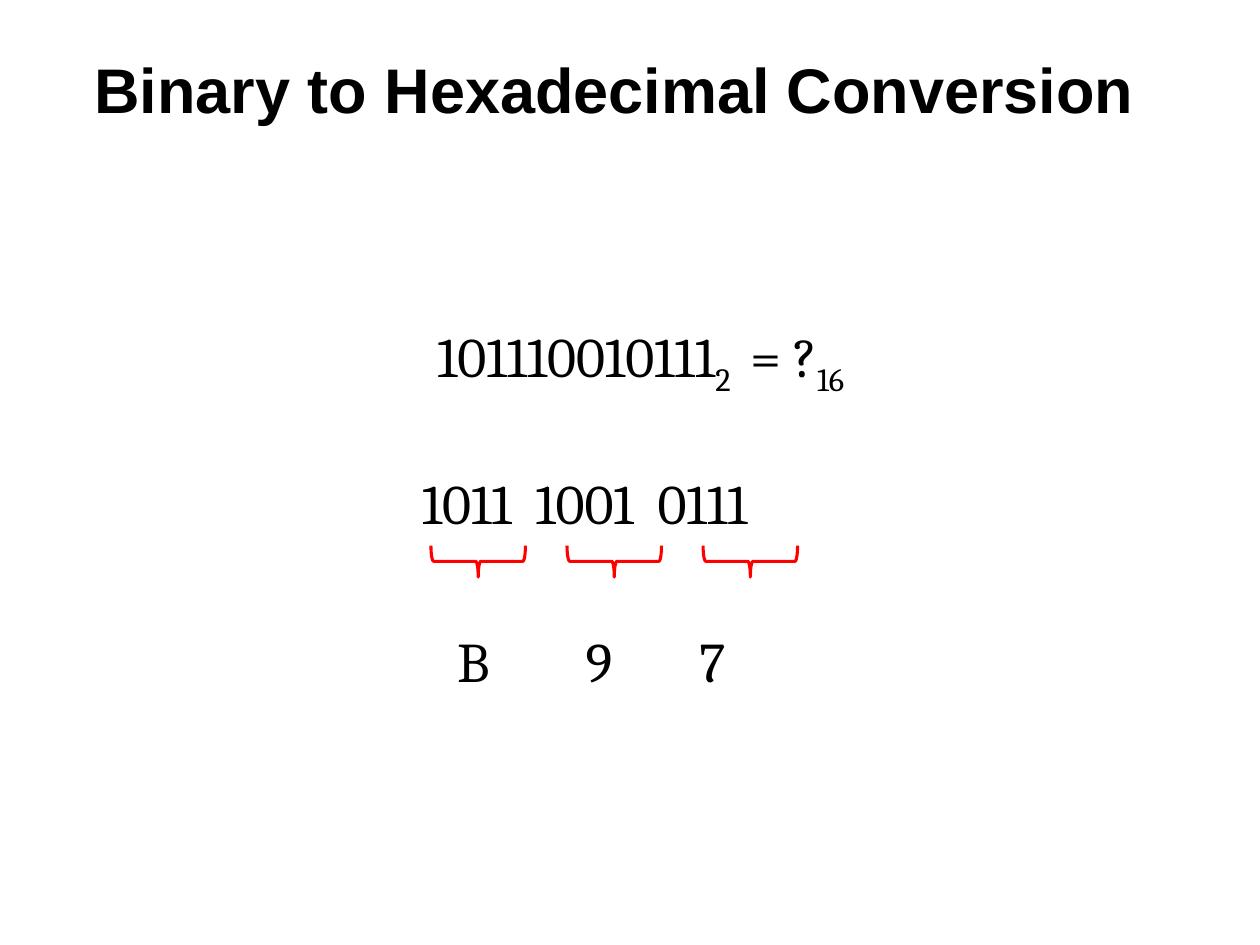
from lxml import etree
from pptx import Presentation
from pptx.dml.color import RGBColor
from pptx.enum.shapes import MSO_SHAPE
from pptx.enum.text import MSO_ANCHOR, PP_ALIGN
from pptx.oxml.ns import qn
from pptx.util import Inches, Pt

BRACE = MSO_SHAPE.RIGHT_BRACE
MIDDLE = MSO_ANCHOR.MIDDLE
CENTER, LEFT = PP_ALIGN.CENTER, PP_ALIGN.LEFT
BLACK, RED = "000000", "FF0000"

TITLE = "Binary to Hexadecimal Conversion"
QUESTION = [("101110010111", 0), ("2 ", -25), (" = ?", 0), ("16", -25)]
GROUPS = ["1011", "1001", "0111"]
DIGITS = ["B", "9", "7"]
ROWS = [
    ((3.37, 2.5, 4.18, 0.64), QUESTION, []),
    ((3.25, 3.67, 3.29, 0.64), [("\t".join(GROUPS), 0)], [0.9, 1.87]),
    ((3.53, 4.92, 3.06, 0.64), [("\t".join(DIGITS), 0)], [1.02, 1.92]),
]
BRACE_LEFT, BRACE_TOP, BRACE_STEP = 3.67, 4.08, 1.08
BRACE_WIDTH, BRACE_HEIGHT = 0.25, 0.75


def color(value):
    return RGBColor.from_string(value)


def style(span, font, size, bold=False):
    span.font.name = font
    span.font.size = Pt(size)
    span.font.bold = bold
    span.font.color.rgb = color(BLACK)


def add_title(page):
    title = page.shapes.title
    title.left, title.top = Inches(0), Inches(0.33)
    title.width, title.height = Inches(9.75), Inches(0.75)
    title.text_frame.text = TITLE
    title.text_frame.vertical_anchor = MIDDLE
    para = title.text_frame.paragraphs[0]
    para.alignment = CENTER
    style(para.runs[0], "Arial", 36, True)


def add_row(page, place, spans, stops):
    box = page.shapes.add_textbox(*map(Inches, place))
    box.text_frame.word_wrap = True
    para = box.text_frame.paragraphs[0]
    para.alignment = LEFT
    if stops:
        tabs = etree.SubElement(para._p.get_or_add_pPr(), qn("a:tabLst"))
        for stop in stops:
            etree.SubElement(tabs, qn("a:tab"), pos=str(Inches(stop)), algn="l")
    for text, baseline in spans:
        span = para.add_run()
        span.text = text
        style(span, "Cambria", 32)
        if baseline:
            span.font._element.set("baseline", str(baseline * 1000))


def add_brace(page, column):
    brace = page.shapes.add_shape(
        BRACE,
        Inches(BRACE_LEFT + column * BRACE_STEP),
        Inches(BRACE_TOP),
        Inches(BRACE_WIDTH),
        Inches(BRACE_HEIGHT),
    )
    brace.rotation = 90
    brace.shadow.inherit = False
    brace.fill.background()
    brace.line.color.rgb = color(RED)
    brace.line.width = Pt(1.75)


def main():
    deck = Presentation()
    deck.slide_width, deck.slide_height = Inches(10), Inches(7.5)
    page = deck.slides.add_slide(deck.slide_layouts[5])
    add_title(page)
    for row in ROWS:
        add_row(page, *row)
    for column in range(len(GROUPS)):
        add_brace(page, column)
    deck.save("out.pptx")


if __name__ == "__main__":
    main()
